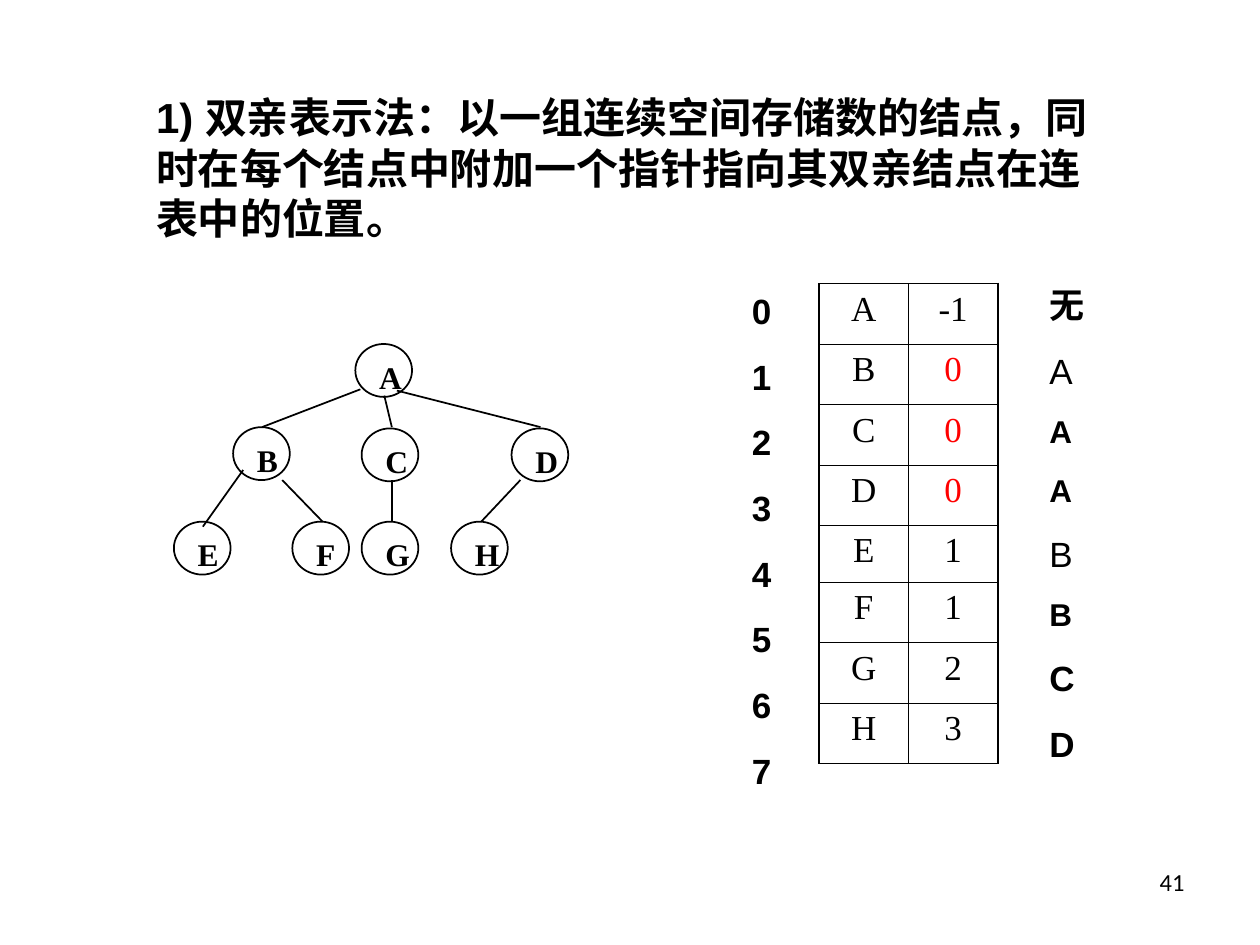
"""Slide on the parent array form of a tree: a tree, its table and its labels."""
import pptx
import pptx.dml.color
import pptx.enum.shapes
import pptx.enum.text
import pptx.oxml
import pptx.oxml.ns
import pptx.util
from pptx.util import Inches

BLACK = "000000"
RED = "FF0000"
SERIF = "Times New Roman"
SANS = "Arial"
ALIGN = pptx.enum.text.PP_ALIGN

TITLE = ("1) 双亲表示法：以一组连续空间存储数的结点，"
         "同时在每个结点中附加一个指针指向其双亲结点在连表中的位置。")
NODES = {
    "A": (2.82, 2.73),
    "B": (1.85, 3.39), "C": (2.87, 3.4), "D": (4.06, 3.4),
    "E": (1.38, 4.14), "F": (2.32, 4.14), "G": (2.87, 4.14), "H": (3.58, 4.14),
}
EDGES = [
    (2.86, 3.09, 2.08, 3.39), (3.05, 3.14, 3.11, 3.39), (3.15, 3.1, 4.29, 3.39),
    (1.93, 3.73, 1.61, 4.18), (2.24, 3.81, 2.56, 4.14),
    (3.11, 3.81, 3.11, 4.14), (4.13, 3.81, 3.82, 4.14),
]
ROWS = [("A", "-1"), ("B", "0"), ("C", "0"), ("D", "0"),
        ("E", "1"), ("F", "1"), ("G", "2"), ("H", "3")]
OWNERS = [("无", 20, True), ("A", 20, False), ("A", 18, True), ("A", 18, True),
          ("B", 20, False), ("B", 18, True), ("C", 20, True), ("D", 20, True)]


def color(code):
    return pptx.dml.color.RGBColor.from_string(code)


def add_run(para, text, size, face, bold=False, code=BLACK):
    run = para.add_run()
    run.text = text
    font = run.font
    font.size = pptx.util.Pt(size)
    font.name = face
    font.bold = bold
    font.color.rgb = color(code)
    east = pptx.oxml.parse_xml(
        f'<a:ea {pptx.oxml.ns.nsdecls("a")} typeface="{face}"/>')
    font._element.append(east)


def add_text(pool, area, lines, face, wrap=True, align=None):
    box = pool.add_textbox(*map(Inches, area))
    frame = box.text_frame
    frame.word_wrap = wrap
    for place, (text, size, bold) in enumerate(lines):
        para = frame.add_paragraph() if place else frame.paragraphs[0]
        para.alignment = align
        if place:
            para.space_before = pptx.util.Pt(13.5 if size == 20 else 12)
        add_run(para, text, size, face, bold)


def add_node(pool, name, left, top):
    oval = pool.add_shape(pptx.enum.shapes.MSO_SHAPE.OVAL,
                          *map(Inches, (left, top, 0.45, 0.42)))
    oval.shadow.inherit = False
    oval.fill.background()
    oval.line.color.rgb = color(BLACK)
    oval.line.width = pptx.util.Pt(1)
    add_text(pool, (left + 0.09, top + 0.06, 0.38, 0.4),
             [(name, 18, True)], SERIF, wrap=False)


def add_edge(pool, ends):
    edge = pool.add_connector(pptx.enum.shapes.MSO_CONNECTOR.STRAIGHT,
                              *map(Inches, ends))
    edge.line.color.rgb = color(BLACK)
    edge.line.width = pptx.util.Pt(1)
    edge._element.spPr.append(pptx.oxml.parse_xml(
        f'<a:effectLst {pptx.oxml.ns.nsdecls("a")}/>'))


def add_border(cell, side, width):
    cell._tc.get_or_add_tcPr().append(pptx.oxml.parse_xml(
        f'<a:ln{side} {pptx.oxml.ns.nsdecls("a")} w="{pptx.util.Pt(width)}">'
        f'<a:solidFill><a:srgbClr val="{BLACK}"/></a:solidFill></a:ln{side}>'))


def add_grid(pool):
    thin, thick = 0.45, 1.08
    table = pool.add_table(len(ROWS), 2,
                           *map(Inches, (6.5, 2.25, 1.42, 3.8))).table
    table.first_row = table.horz_banding = False
    for col in table.columns:
        col.width = Inches(0.71)
    last = len(ROWS) - 1
    for i, pair in enumerate(ROWS):
        table.rows[i].height = Inches(0.45 if i == 4 else 0.48)
        for j, text in enumerate(pair):
            cell = table.cell(i, j)
            para = cell.text_frame.paragraphs[0]
            para.alignment = ALIGN.CENTER
            add_run(para, text, 20, SERIF, code=RED if text == "0" else BLACK)
            add_border(cell, "L", thin if j else thick)
            add_border(cell, "R", thick if j else thin)
            add_border(cell, "T", thick if j and i == 0 else thin)
            add_border(cell, "B", thick if i == last else thin)
            cell.fill.background()


def main():
    deck = pptx.Presentation()
    deck.slide_width, deck.slide_height = Inches(10), Inches(7.5)
    pool = deck.slides.add_slide(deck.slide_layouts[6]).shapes
    add_text(pool, (7.17, 6.83, 2.33, 0.52), [("41", 14, False)],
             "Calibri", align=ALIGN.RIGHT)
    add_grid(pool)
    tree = pool.add_group_shape().shapes
    for name, (left, top) in NODES.items():
        add_node(tree, name, left, top)
    for ends in EDGES:
        add_edge(tree, ends)
    add_text(pool, (1.14, 0.68, 7.64, 1.3), [(TITLE, 24, True)], SANS)
    add_text(pool, (5.87, 2.25, 0.47, 3.99),
             [(str(i), 20, True) for i in range(len(ROWS))], SANS)
    add_text(pool, (8.23, 2.2, 0.47, 3.83), OWNERS, SANS)
    deck.save("out.pptx")


if __name__ == "__main__":
    main()
